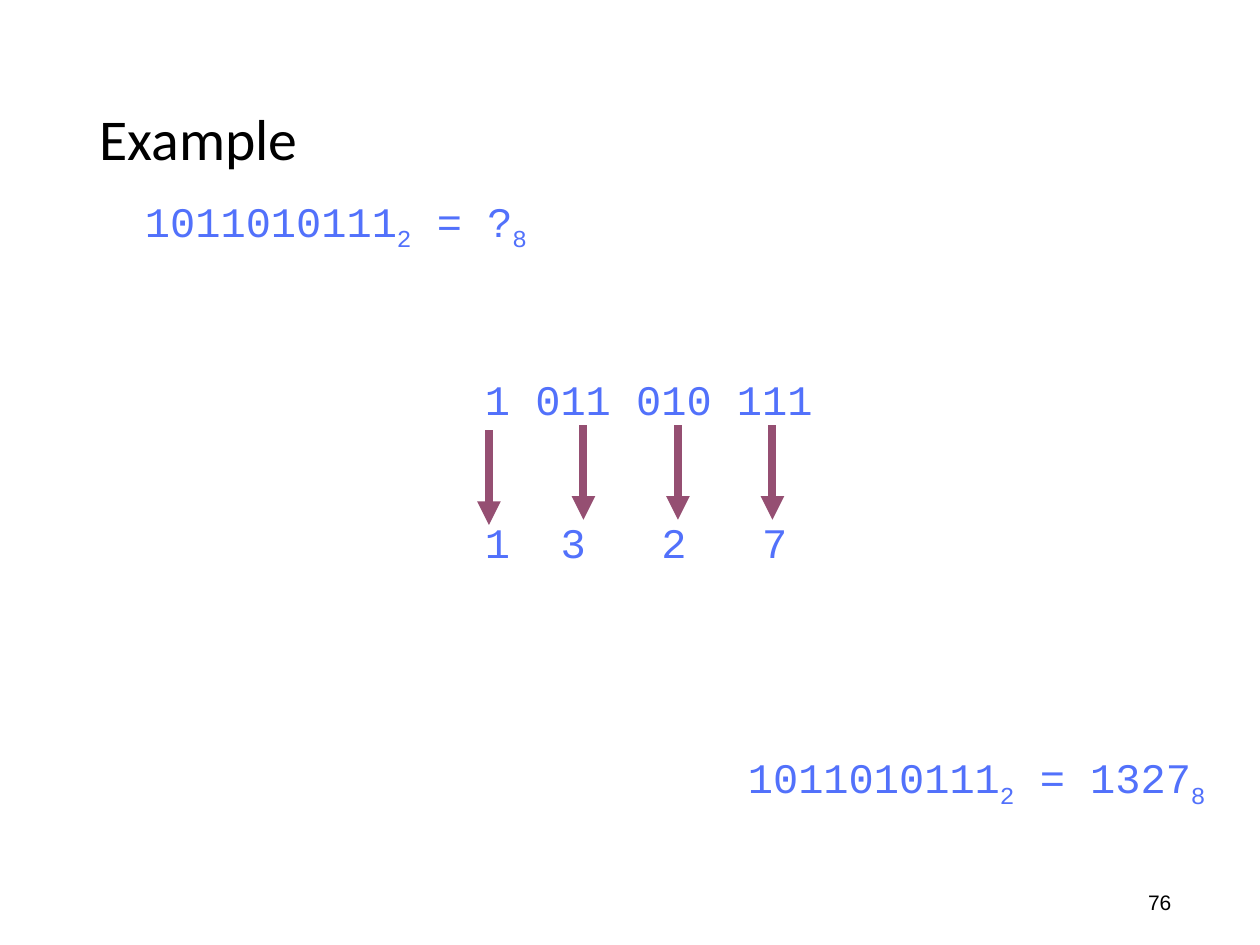
from lxml.etree import SubElement
from pptx import Presentation
from pptx.dml.color import RGBColor
from pptx.enum.shapes import MSO_CONNECTOR
from pptx.enum.text import MSO_ANCHOR, PP_ALIGN
from pptx.oxml.ns import qn
from pptx.util import Pt

COLORS = {"black": "000000", "digits": "5271FB", "arrow": "954F72"}
CHAR_WIDTH = 14.4  # one Courier New character at 24 pt
CODE = {"font": "Courier New", "size": 24, "color": "digits"}


def add_text(slide, box, paragraphs, font="Arial", size=12, color="black",
             align=PP_ALIGN.LEFT, anchor=MSO_ANCHOR.TOP, wrap=True,
             gap=0, line_spacing=None, tabs=()):
    """Each paragraph is a list of (text, is_subscript) pairs."""
    frame = slide.shapes.add_textbox(*map(Pt, box)).text_frame
    frame.word_wrap = wrap
    frame.vertical_anchor = anchor
    for index, pieces in enumerate(paragraphs):
        paragraph = frame.add_paragraph() if index else frame.paragraphs[0]
        paragraph.alignment = align
        if line_spacing:
            paragraph.line_spacing = line_spacing
        if index:
            paragraph.space_before = Pt(gap)
        if tabs:
            stops = SubElement(paragraph._p.get_or_add_pPr(), qn("a:tabLst"))
            for position in tabs:
                SubElement(stops, qn("a:tab"), pos=str(Pt(position)), algn="l")
        for text, is_subscript in pieces:
            run = paragraph.add_run()
            run.text = text
            run.font.name = font
            run.font.size = Pt(size)
            run.font.color.rgb = RGBColor.from_string(COLORS[color])
            if is_subscript:
                run._r.get_or_add_rPr().set("baseline", "-25000")


def add_equation(slide, box, binary, octal, align):
    pieces = [(binary, False), ("2", True), (f" = {octal}", False), ("8", True)]
    add_text(slide, box, [pieces], align=align, **CODE)


def add_down_arrow(slide, x, top, length):
    arrow = slide.shapes.add_connector(
        MSO_CONNECTOR.STRAIGHT, Pt(x), Pt(top), Pt(x), Pt(top + length))
    arrow.line.color.rgb = RGBColor.from_string(COLORS["arrow"])
    arrow.line.width = Pt(4.5)
    SubElement(arrow.line._get_or_add_ln(), qn("a:tailEnd"), type="triangle")
    SubElement(arrow._element.spPr, qn("a:effectLst"))


def add_conversion(slide, box, groups, digits):
    """Binary groups above, an arrow for each, and octal digits below."""
    left, top = box[:2]
    tabs = [CHAR_WIDTH * (4 * i - 1) for i in range(1, len(digits))]
    rows = [[(" ".join(groups), False)], [("\t".join(digits), False)]]
    add_text(slide, box, rows, gap=52.8, tabs=tabs, **CODE)
    for i in range(len(groups)):
        drop = 36 if i == 0 else 33
        add_down_arrow(slide, left + 9.4 + 54 * i, top + drop, 54)


def main():
    prs = Presentation()
    prs.slide_width, prs.slide_height = Pt(720), Pt(540)
    slide = prs.slides.add_slide(prs.slide_layouts[6])

    add_text(slide, (649, 504.7, 28.8, 21.6), [[("76", False)]], wrap=False)
    add_text(slide, (49.8, 28.8, 621, 104.4), [[("Example", False)]],
             font="Calibri", size=33, anchor=MSO_ANCHOR.MIDDLE, line_spacing=0.9)
    add_equation(slide, (24, 108, 336, 36), "1011010111", "?", PP_ALIGN.CENTER)
    add_conversion(slide, (270, 210, 336, 122.4),
                   ["1", "011", "010", "111"], "1327")
    add_equation(slide, (360, 426, 336, 36), "1011010111", "1327", PP_ALIGN.RIGHT)
    prs.save("out.pptx")


if __name__ == "__main__":
    main()
